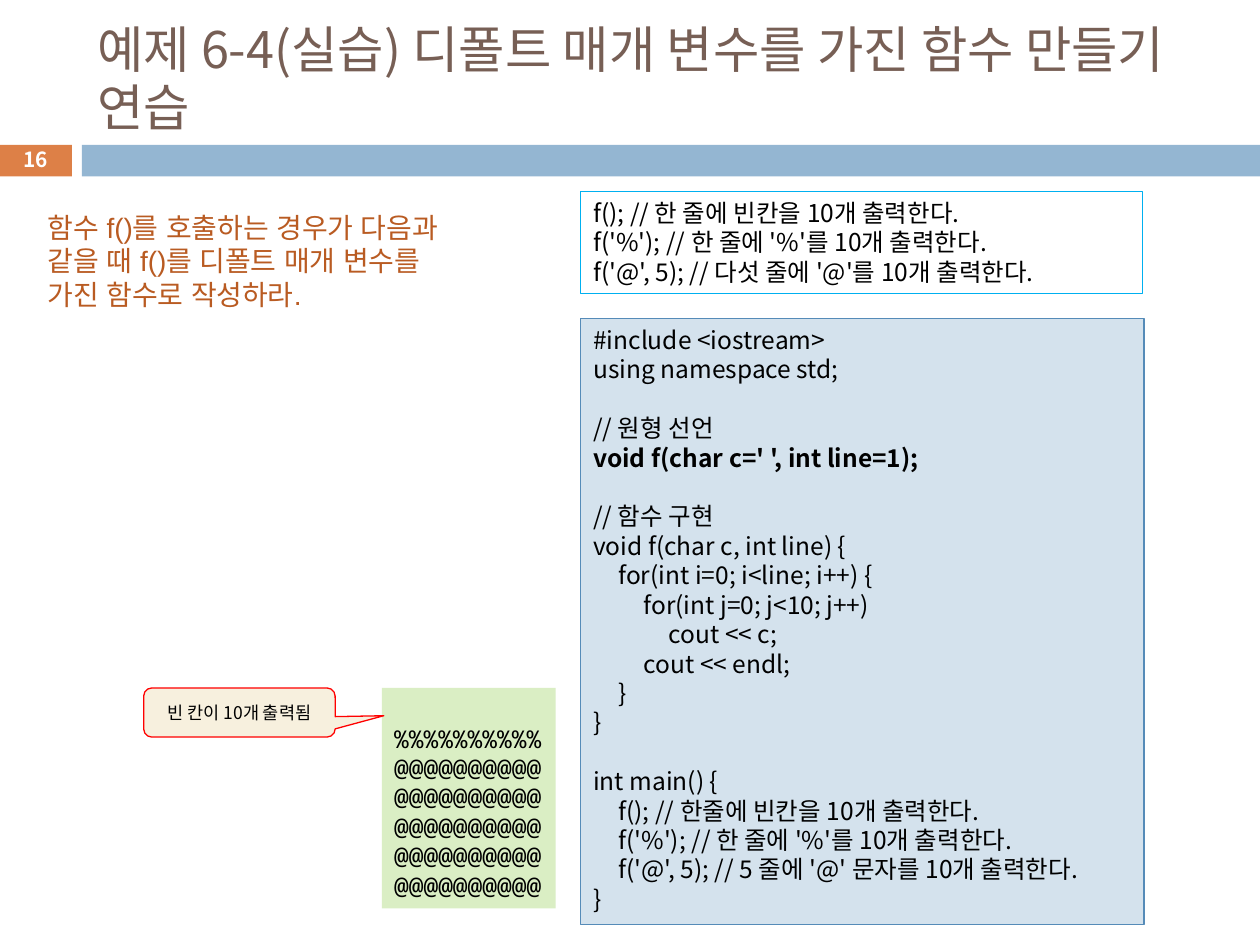
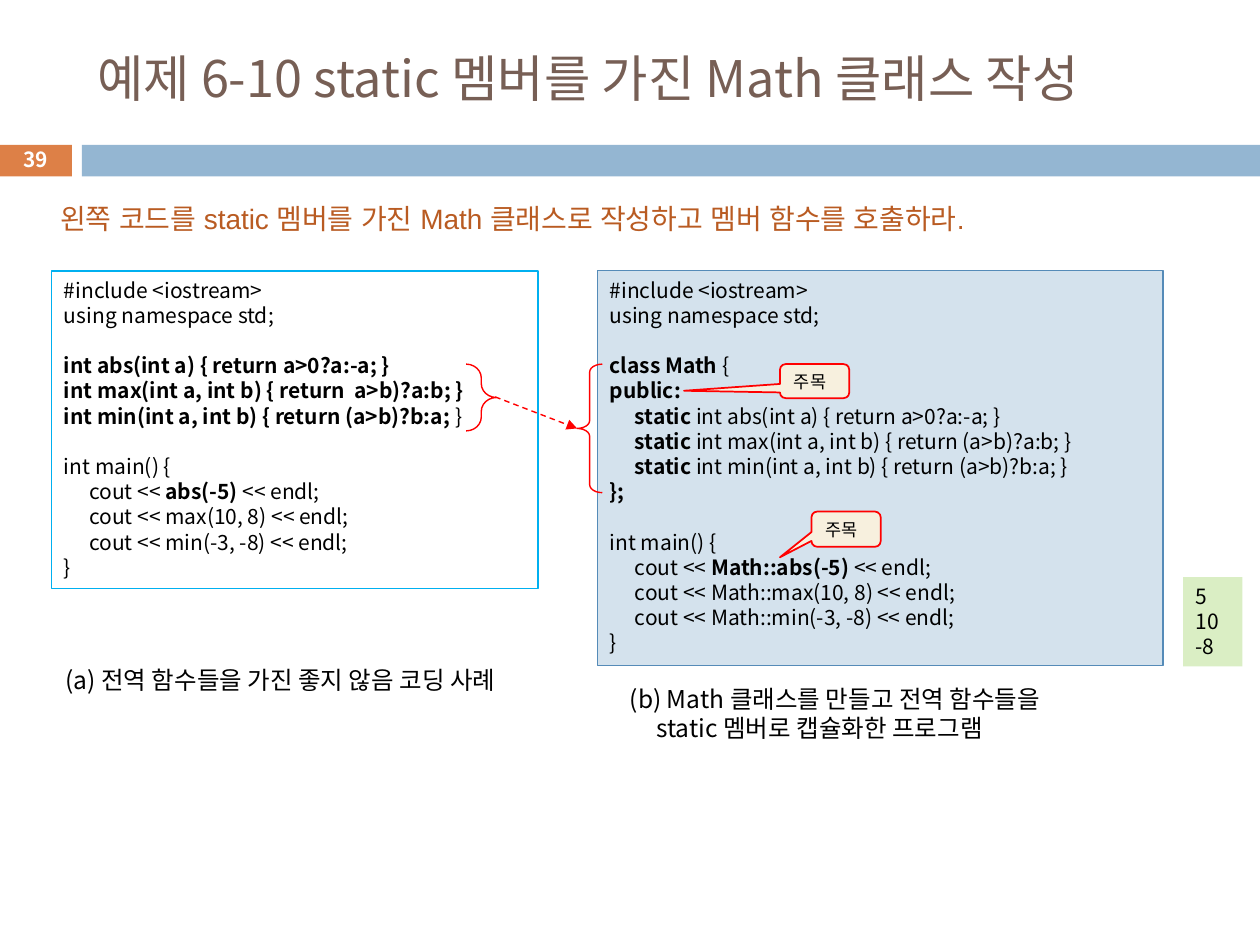
from lxml import etree
from pptx import Presentation
from pptx import util as u
from pptx.dml.color import RGBColor
from pptx.enum import dml, shapes, text
from pptx.oxml.ns import qn

SANS, MONO, ARIAL = "Noto Sans CJK KR", "Noto Sans Mono", "Arial"
BLACK, WHITE, RED, CYAN = "000000", "FFFFFF", "FF0000", "00B0F0"
TITLE_BROWN, TASK_ORANGE = "775F55", "B95B22"
BAND_ORANGE, BAND_BLUE = "DD8047", "94B6D2"
CODE_FILL, CODE_LINE = "D4E2ED", "558BB8"
OUTPUT_FILL, NOTE_FILL = "DAEEC4", "F7F0DE"
INDENT = 0.2

RECT = shapes.MSO_SHAPE.RECTANGLE
CENTER = text.PP_ALIGN.CENTER
MIDDLE = text.MSO_ANCHOR.MIDDLE


def color(hex_string):
    return RGBColor.from_string(hex_string)


def add_tab_stops(paragraph):
    stops = etree.SubElement(paragraph._p.get_or_add_pPr(), qn("a:tabLst"))
    for level in range(1, 4):
        etree.SubElement(stops, qn("a:tab"), pos=str(u.Inches(INDENT * level)), algn="l")


class Deck:
    def __init__(self):
        self.prs = Presentation()
        self.prs.slide_width, self.prs.slide_height = u.Inches(10), u.Inches(7.5)
        self.slide = None

    def new_slide(self, number, heading):
        self.slide = self.prs.slides.add_slide(self.prs.slide_layouts[5])
        self.box((-0.01, 1.15, 0.58, 0.25), fill=BAND_ORANGE)
        self.box((0.65, 1.15, 9.35, 0.25), fill=BAND_BLUE)
        title = self.slide.shapes.title
        title.left, title.top, title.width, title.height = map(u.Inches, (0.67, 0.25, 8.92, 0.74))
        self.set_text(title, heading, 28.8, ink=TITLE_BROWN, anchor=MIDDLE, pitch=1.15)
        self.label((-0.01, 1.13, 0.58, 0.27), f"**{number}**", 11.9, ink=WHITE,
                   align=CENTER, anchor=MIDDLE)

    def set_text(self, shape, content, size, font=SANS, ink=BLACK, align=text.PP_ALIGN.LEFT,
                 anchor=text.MSO_ANCHOR.TOP, wrap=True, pitch=1.2):
        """Fill the shape with lines of text; ** switches bold on and off."""
        frame = shape.text_frame
        frame.word_wrap = wrap
        frame.auto_size = text.MSO_AUTO_SIZE.NONE
        frame.vertical_anchor = anchor
        frame.text = content
        for paragraph in frame.paragraphs:
            parts = paragraph.text.split("**")
            paragraph.clear()
            paragraph.alignment = align
            paragraph.line_spacing = u.Pt(round(size * pitch, 1))
            if "\t" in parts[0]:
                add_tab_stops(paragraph)
            for index, part in enumerate(parts):
                if part:
                    run = paragraph.add_run()
                    run.text = part
                    run.font.size, run.font.bold = u.Pt(size), index % 2 == 1
                    run.font.color.rgb = color(ink)
                    run.font.name = font
                    etree.SubElement(run._r.get_or_add_rPr(), qn("a:ea"), typeface=font)

    def label(self, place, content, size, **style):
        box = self.slide.shapes.add_textbox(*map(u.Inches, place))
        self.set_text(box, content, size, **style)
        return box

    def box(self, place, fill=None, line=None, weight=0.75, kind=RECT, adjust=()):
        shape = self.slide.shapes.add_shape(kind, *map(u.Inches, place))
        shape.shadow.inherit = False
        if fill:
            shape.fill.solid()
            shape.fill.fore_color.rgb = color(fill)
        else:
            shape.fill.background()
        if line:
            shape.line.color.rgb = color(line)
            shape.line.width = u.Pt(weight)
        else:
            shape.line.fill.background()
        for index, value in enumerate(adjust):
            shape.adjustments[index] = value
        return shape

    def code(self, place, content, size, fill=CODE_FILL, line=CODE_LINE):
        self.set_text(self.box(place, fill, line), content, size)

    def output(self, place, content, size, **style):
        self.set_text(self.box(place, OUTPUT_FILL), content, size, **style)

    def task(self, place, content):
        self.label(place, content, 16, font=ARIAL, ink=TASK_ORANGE)

    def callout(self, place, content, pointer, weight=1, **style):
        note = self.box(place, NOTE_FILL, RED, weight,
                        shapes.MSO_SHAPE.ROUNDED_RECTANGULAR_CALLOUT, (*pointer, 0.167))
        self.set_text(note, content, 10, anchor=MIDDLE, **style)

    def brace(self, place, curve, rotation=0):
        brace = self.box(place, None, RED, 0.79, shapes.MSO_SHAPE.RIGHT_BRACE, (curve, 0.5))
        brace.rotation = rotation

    def dashed_arrow(self, start, end):
        arrow = self.slide.shapes.add_connector(
            shapes.MSO_CONNECTOR.STRAIGHT, *map(u.Inches, (*start, *end)))
        arrow.line.color.rgb = color(RED)
        arrow.line.width = u.Pt(0.79)
        arrow.line.dash_style = dml.MSO_LINE.DASH
        etree.SubElement(arrow.line._get_or_add_ln(), qn("a:tailEnd"), type="triangle")
        etree.SubElement(arrow._element.spPr, qn("a:effectLst"))


DEFAULT_CALLS = """f(); // 한 줄에 빈칸을 10개 출력한다.
f('%'); // 한 줄에 '%'를 10개 출력한다.
f('@', 5); // 다섯 줄에 '@'를 10개 출력한다."""

DEFAULT_PROGRAM = """#include <iostream>
using namespace std;

// 원형 선언
**void f(char c=' ', int line=1);**

// 함수 구현
void f(char c, int line) {
\tfor(int i=0; i<line; i++) {
\t\tfor(int j=0; j<10; j++)
\t\t\tcout << c;
\t\tcout << endl;
\t}
}

int main() {
\tf(); // 한줄에 빈칸을 10개 출력한다.
\tf('%'); // 한 줄에 '%'를 10개 출력한다.
\tf('@', 5); // 5 줄에 '@' 문자를 10개 출력한다.
}"""

GLOBAL_PROGRAM = """#include <iostream>
using namespace std;

**int abs(int a) { return a>0?a:-a; }**
**int max(int a, int b) { return  a>b)?a:b; }**
**int min(int a, int b) { return (a>b)?b:a; **}

int main() {
\tcout << **abs(-5) **<< endl;
\tcout << max(10, 8) << endl;
\tcout << min(-3, -8) << endl;
}"""

STATIC_PROGRAM = """#include <iostream>
using namespace std;

**class Math **{
**public:**
\t**static **int abs(int a) { return a>0?a:-a; }
\t**static **int max(int a, int b) { return (a>b)?a:b; }
\t**static **int min(int a, int b) { return (a>b)?b:a; }
**};**

int main() {
\tcout << **Math::abs(-5) **<< endl;
\tcout << Math::max(10, 8) << endl;
\tcout << Math::min(-3, -8) << endl;
}"""


def default_parameter_slide(deck):
    deck.new_slide(16, "예제 6-4(실습) 디폴트 매개 변수를 가진 함수 만들기 연습")
    deck.task((0.28, 1.62, 3.62, 0.91),
              "함수 f()를 호출하는 경우가 다음과 같을 때 f()를 디폴트 매개 변수를 가진 함수로 작성하라.")
    deck.code((4.61, 2.53, 4.47, 4.81), DEFAULT_PROGRAM, 14)
    printed = ["", "%" * 10] + ["@" * 10] * 5
    deck.output((3.03, 5.46, 1.38, 1.75), "\n".join(printed), 14, font=MONO, wrap=False)
    deck.callout((1.14, 5.46, 1.52, 0.39), "빈 칸이 10개 출력됨", (0.754, 0.066),
                 weight=0.75, align=CENTER)
    deck.code((4.61, 1.52, 4.46, 0.81), DEFAULT_CALLS, 14, fill=None, line=CYAN)


def static_member_slide(deck):
    deck.new_slide(39, "예제 6-10 static 멤버를 가진 Math 클래스 작성")
    deck.code((0.41, 2.15, 3.86, 2.52), GLOBAL_PROGRAM, 12, fill=None, line=CYAN)
    deck.code((4.74, 2.15, 4.49, 3.13), STATIC_PROGRAM, 12)
    deck.brace((3.7, 2.89, 0.24, 0.53), 0.459)
    deck.brace((4.58, 2.89, 0.2, 1.02), 0.314, rotation=180)
    deck.dashed_arrow((3.93, 3.15), (4.58, 3.4))
    deck.label((0.42, 5.23, 4.04, 0.34), "(a) 전역 함수들을 가진 좋지 않음 코딩 사례", 14,
               wrap=False)
    caption = deck.label((4.9, 5.38, 4.17, 0.57),
                         "(b) Math 클래스를 만들고 전역 함수들을\nstatic 멤버로 캡슐화한 프로그램", 14)
    second_line = caption.text_frame.paragraphs[1]
    second_line._p.get_or_add_pPr().set("marL", str(u.Inches(0.21)))
    deck.callout((6.44, 4.06, 0.55, 0.28), "주목", (-0.955, 0.797))
    deck.callout((6.19, 2.89, 0.55, 0.27), "주목", (-1.886, 0.284))
    deck.output((9.39, 4.58, 0.47, 0.71), "5\n10\n-8", 12)
    deck.task((0.38, 1.55, 9.21, 0.37),
              "왼쪽 코드를 static 멤버를 가진 Math 클래스로 작성하고 멤버 함수를 호출하라.")


def main():
    deck = Deck()
    default_parameter_slide(deck)
    static_member_slide(deck)
    deck.prs.save("out.pptx")


if __name__ == "__main__":
    main()
